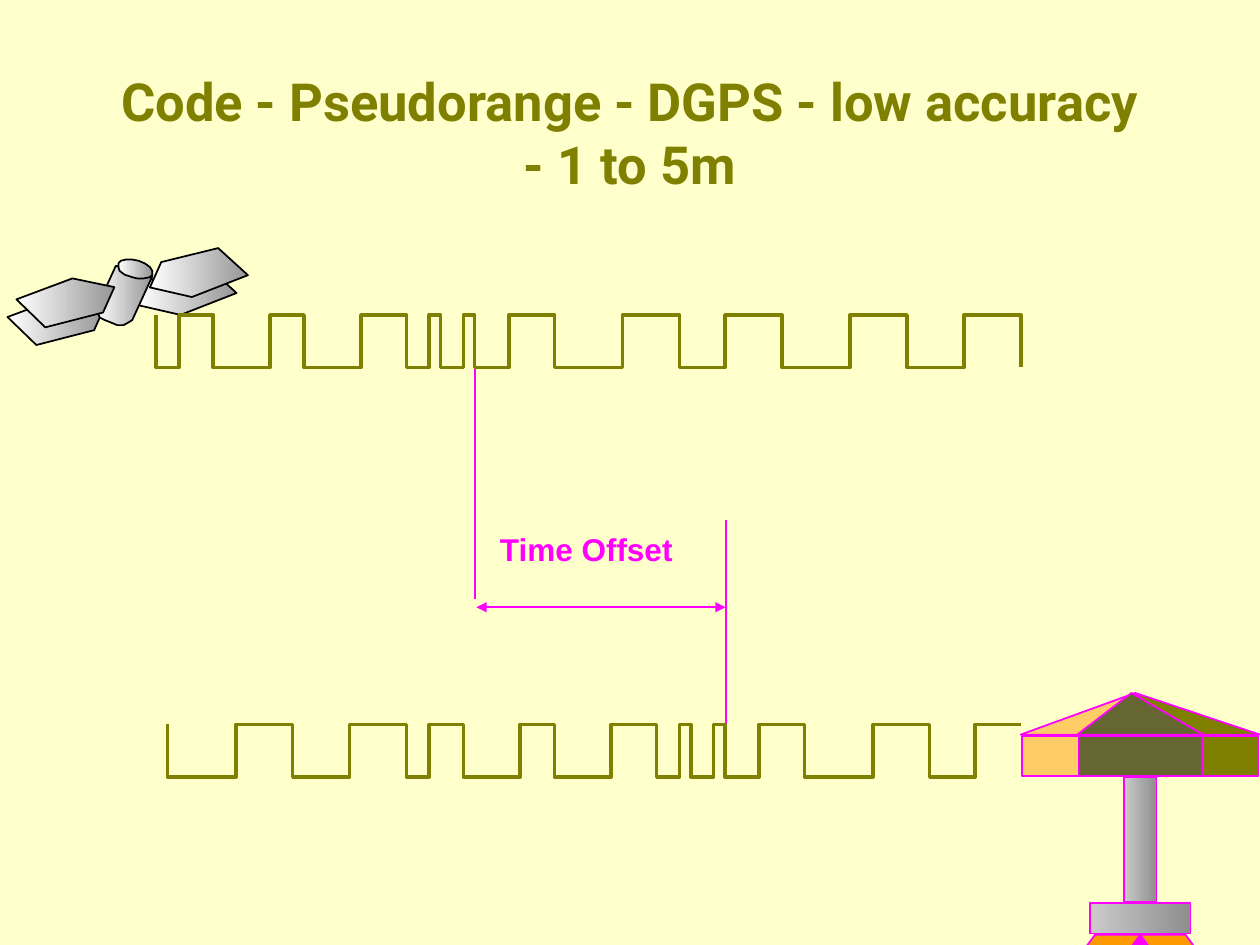
from dataclasses import dataclass

from lxml.etree import SubElement
from pptx import Presentation
from pptx.dml.color import RGBColor
from pptx.enum.shapes import MSO_CONNECTOR, MSO_SHAPE
from pptx.enum.text import MSO_ANCHOR, MSO_AUTO_SIZE, PP_ALIGN
from pptx.oxml.ns import qn
from pptx.util import Pt

CREAM = RGBColor(0xFF, 0xFF, 0xCC)
OLIVE = RGBColor(0x80, 0x80, 0x00)
DARK_OLIVE = RGBColor(0x66, 0x66, 0x33)
MAGENTA = RGBColor(0xFF, 0x00, 0xFF)
ORANGE = RGBColor(0xFF, 0x99, 0x00)
BROWN = RGBColor(0xCC, 0x66, 0x00)
SAND = RGBColor(0xFF, 0xCC, 0x66)
BLACK = RGBColor(0x00, 0x00, 0x00)
PANEL_METAL = (RGBColor(0xFF, 0xFF, 0xFF), RGBColor(0x96, 0x96, 0x96))
MAST_METAL = (RGBColor(0xCB, 0xCB, 0xCB), RGBColor(0x8E, 0x8E, 0x8E))

Fill = RGBColor | tuple[RGBColor, RGBColor] | None
Points = list[tuple[float, float]]


@dataclass
class Box:
    left: float
    top: float
    width: float
    height: float
    fill: Fill


@dataclass
class Polygon:
    points: Points
    fill: Fill


@dataclass
class Signal:
    """A square wave; chips holds the length of each level, in code chips."""
    left: float
    top: float
    chips: list[int]
    ends_low: bool


CHIP = 6.5
PULSE_HEIGHT = 30
SIGNALS = [
    Signal(89.3, 180, [2, 3, 5, 3, 5, 4, 2, 1, 2, 1, 3, 4, 6, 5, 4, 5, 6, 5, 5, 5], True),
    Signal(95.8, 414, [6, 5, 5, 5, 2, 3, 5, 3, 5, 4, 2, 1, 2, 1, 3, 4, 6, 5, 4, 4], False),
]

LEFT_PANEL = [(16.5, 28), (0, 12), (32, 0), (56, 5), (49.5, 19.5)]
RIGHT_PANEL = [(39, 0), (56, 15.5), (24, 28), (0, 22.5), (6.5, 8)]
BODY = [(56.2, 177.1), (56.2, 179.3), (56.9, 181.4), (59.8, 182.9), (63.4, 184.3),
        (67, 185.8), (70.6, 185.8), (73.4, 184.3), (75.6, 182.9), (87.1, 157.7),
        (66.2, 151.9), (54.7, 177.1)]
BODY_CAP = [(75.6, 158.4), (71.3, 157), (68.4, 154.8), (67.7, 152.6), (67.7, 150.5),
            (69.1, 149), (72, 148.3), (75.6, 148.3), (79.2, 149), (82.8, 150.5),
            (85.7, 152.6), (87.1, 154.8), (87.1, 157), (85.7, 158.4), (82.1, 159.1),
            (78.5, 159.1)]

LEG_TOP, LEG_FOOT, LEG_AXIS = 534.2, 587.5, 651.6
WALL_TOP, WALL_HEIGHT = 420.5, 23
EAVES, APEX = 419.8, 396


def leg(side: int) -> Polygon:
    """A slanted tripod leg; side is 1 for right and -1 for left."""
    corners = [(0, LEG_TOP), (38.9, LEG_FOOT), (64.8, LEG_FOOT), (25.9, LEG_TOP)]
    return Polygon([(LEG_AXIS + side * x, y) for x, y in corners], ORANGE)


def wall(left: float, width: float, fill: Fill) -> Box:
    return Box(left, WALL_TOP, width, WALL_HEIGHT, fill)


def roof(left: float, apex: float, right: float, fill: Fill) -> Polygon:
    return Polygon([(left, EAVES), (apex, APEX), (right, EAVES)], fill)


TRIPOD_POST = Box(645.8, LEG_TOP, 25.2, 52.6, BROWN)
RECEIVER = [
    Box(642.2, 444.2, 18.7, 71.3, MAST_METAL),
    Box(622.8, 516.2, 57.6, 17.3, MAST_METAL),
    Box(639.4, LEG_TOP, 31.7, 17.3, MAGENTA),
    leg(1),
    leg(-1),
    wall(583.9, 44.6, SAND),
    wall(674.6, 44.6, OLIVE),
    roof(583.2, 648.7, 628.6, SAND),
    roof(674.6, 648.7, 720, OLIVE),
    wall(616.3, 70.6, DARK_OLIVE),
    roof(615.6, 646.6, 687.6, DARK_OLIVE),
]


def style(s, fill: Fill, line: RGBColor, width: float = 1) -> None:
    s.shadow.inherit = False
    if fill is None:
        s.fill.background()
    elif isinstance(fill, RGBColor):
        s.fill.solid()
        s.fill.fore_color.rgb = fill
    else:
        s.fill.gradient()
        s.fill.gradient_angle = 0
        for stop, colour in zip(s.fill.gradient_stops, fill):
            stop.color.rgb = colour
    s.line.color.rgb = line
    s.line.width = Pt(width)


def add_outline(shapes, points: Points, close: bool = True):
    start, *rest = [(Pt(x), Pt(y)) for x, y in points]
    builder = shapes.build_freeform(*start)
    builder.add_line_segments(rest, close=close)
    return builder.convert_to_shape()


def add_part(shapes, part: Box | Polygon, line: RGBColor) -> None:
    if isinstance(part, Box):
        s = shapes.add_shape(MSO_SHAPE.RECTANGLE, Pt(part.left), Pt(part.top),
                             Pt(part.width), Pt(part.height))
    else:
        s = add_outline(shapes, part.points)
    style(s, part.fill, line)


def add_satellite(shapes) -> None:
    def shifted(points: Points, dx: float, dy: float) -> Points:
        return [(x + dx, y + dy) for x, y in points]

    group = shapes.add_group_shape()
    for points in (shifted(LEFT_PANEL, 4.3, 169.2), shifted(RIGHT_PANEL, 79.2, 152),
                   shifted(RIGHT_PANEL, 85.7, 141.8), BODY, BODY_CAP,
                   shifted(LEFT_PANEL, 9.4, 159.1)):
        add_part(group.shapes, Polygon(points, PANEL_METAL), BLACK)


def add_signal(shapes, signal: Signal) -> None:
    x, high, low = signal.left, signal.top, signal.top + PULSE_HEIGHT
    points = [(x, high)]
    for i, chips in enumerate(signal.chips):
        y = high if i % 2 else low
        points += [(x, y), (x + chips * CHIP, y)]
        x += chips * CHIP
    if signal.ends_low:
        points.append((x, low))
    style(add_outline(shapes, points, close=False), None, OLIVE, 2)


def add_line(shapes, x1: float, y1: float, x2: float, y2: float, arrows: bool = False) -> None:
    s = shapes.add_connector(MSO_CONNECTOR.STRAIGHT, Pt(x1), Pt(y1), Pt(x2), Pt(y2))
    s.line.color.rgb = MAGENTA
    s.line.width = Pt(1)
    if arrows:
        for end in ("a:headEnd", "a:tailEnd"):
            SubElement(s.line._get_or_add_ln(), qn(end), type="triangle")
    SubElement(s._element.spPr, qn("a:effectLst"))


def format_text(tf, font: str, size: float, colour: RGBColor) -> None:
    for r in tf.paragraphs[0].runs:
        r.font.name = font
        r.font.size = Pt(size)
        r.font.bold = True
        r.font.color.rgb = colour


def add_title(slide) -> None:
    s = slide.shapes.title
    s.left, s.top, s.width, s.height = Pt(54), Pt(48), Pt(612), Pt(90)
    tf = s.text_frame
    tf.text = "Code - Pseudorange - DGPS - low accuracy - 1 to 5m"
    tf.auto_size = MSO_AUTO_SIZE.NONE
    tf.vertical_anchor = MSO_ANCHOR.MIDDLE
    tf.margin_bottom = Pt(39)
    tf.paragraphs[0].alignment = PP_ALIGN.CENTER
    format_text(tf, "Roboto", 30, OLIVE)


def add_offset_label(shapes) -> None:
    tf = shapes.add_textbox(Pt(278.6), Pt(299.5), Pt(113.8), Pt(28.8)).text_frame
    tf.text = "Time Offset"
    tf.word_wrap = False
    tf.auto_size = MSO_AUTO_SIZE.SHAPE_TO_FIT_TEXT
    format_text(tf, "Arial", 18, MAGENTA)


def main() -> None:
    prs = Presentation()
    prs.slide_width, prs.slide_height = Pt(720), Pt(540)
    slide = prs.slides.add_slide(prs.slide_layouts[5])
    slide.background.fill.solid()
    slide.background.fill.fore_color.rgb = CREAM
    shapes = slide.shapes

    add_title(slide)
    add_part(shapes, TRIPOD_POST, MAGENTA)
    add_satellite(shapes)
    add_line(shapes, 414.7, 297.4, 414.7, 416.9)
    add_line(shapes, 271.4, 210.2, 271.4, 342)
    add_line(shapes, 272.2, 347, 414.7, 347, arrows=True)
    add_offset_label(shapes)
    for part in RECEIVER:
        add_part(shapes, part, MAGENTA)
    for signal in SIGNALS:
        add_signal(shapes, signal)
    prs.save("out.pptx")


if __name__ == "__main__":
    main()
